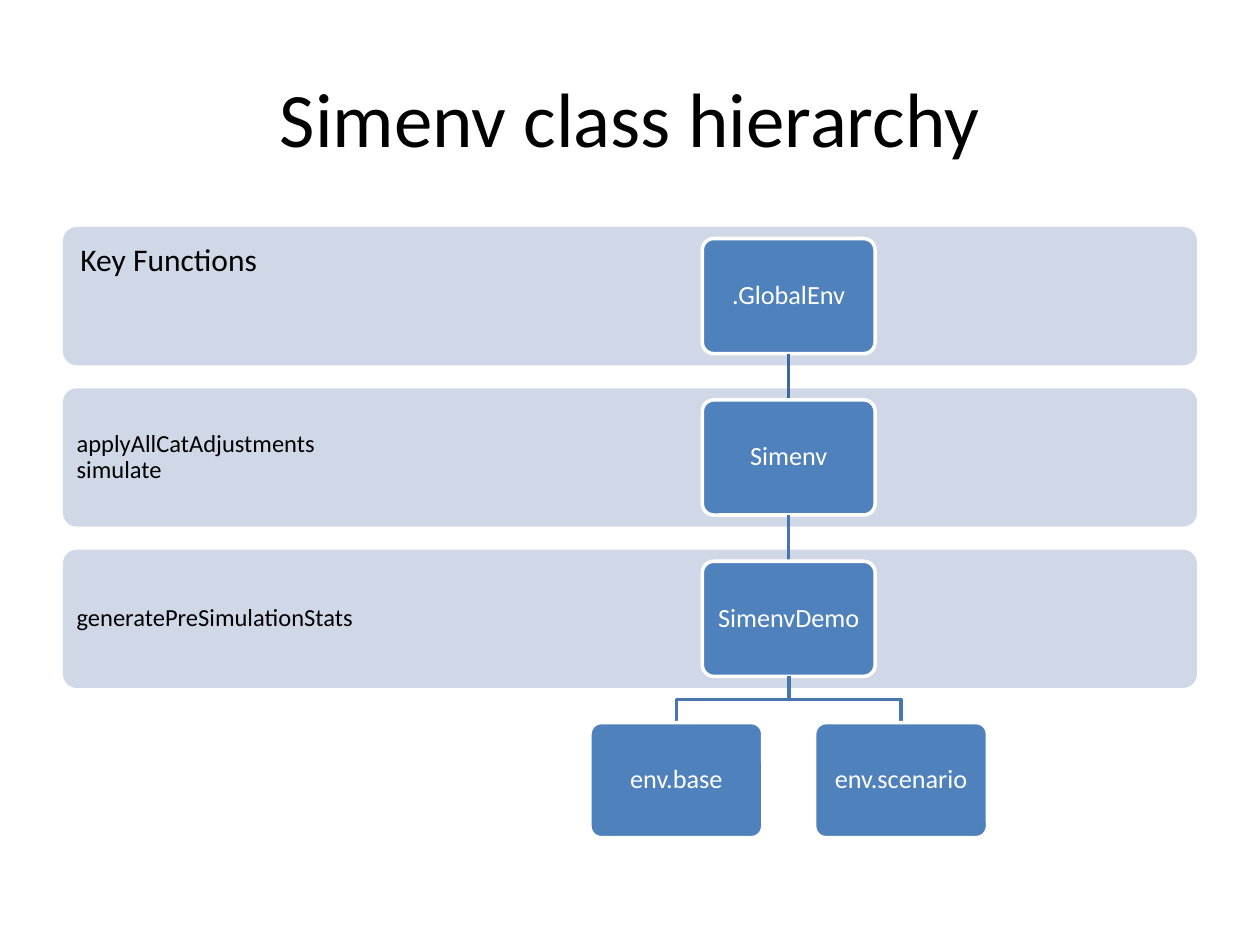
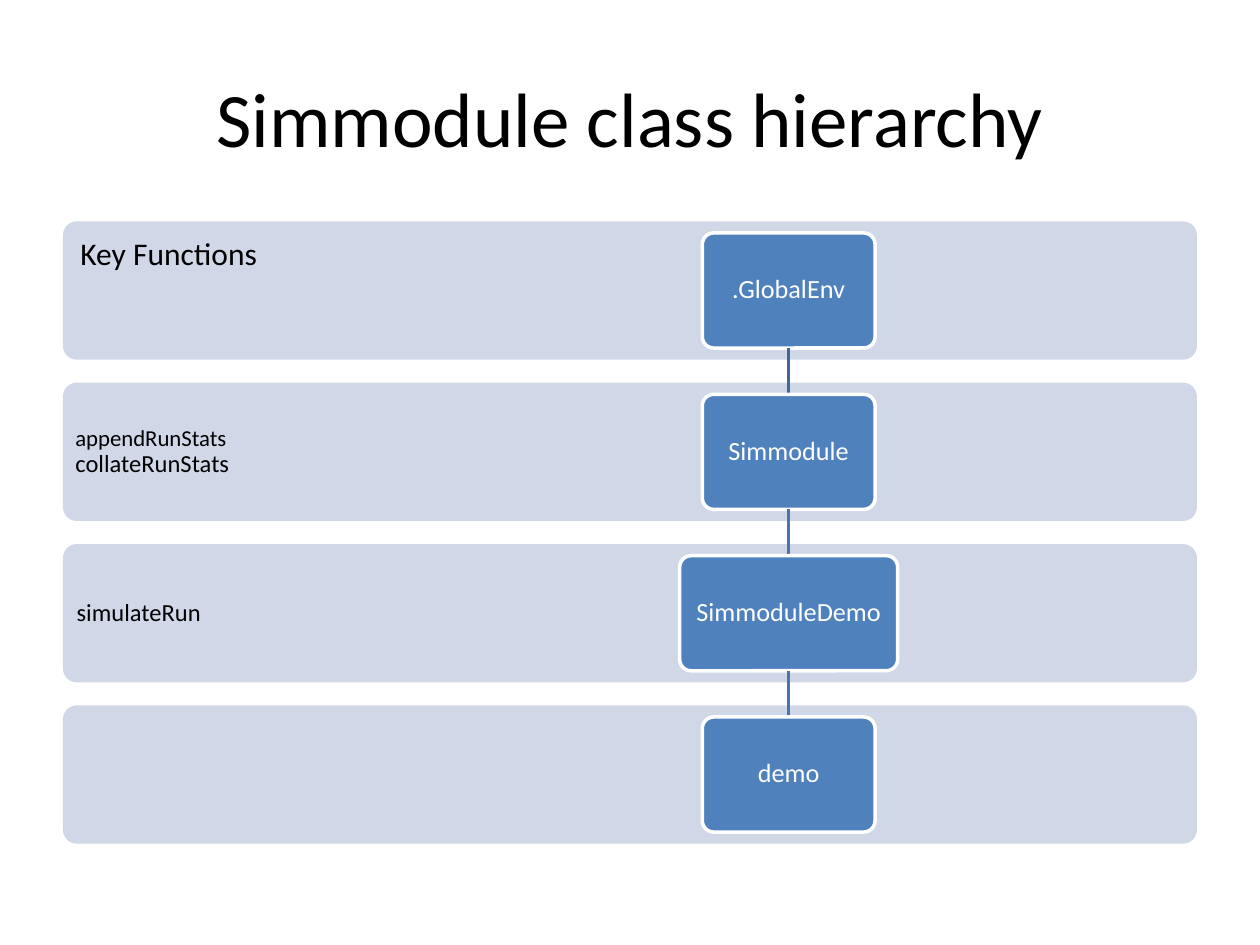
from dataclasses import dataclass
from typing import Any

from lxml.etree import SubElement
from pptx import Presentation
from pptx.dml.color import RGBColor
from pptx.enum.shapes import MSO_CONNECTOR, MSO_SHAPE
from pptx.enum.text import MSO_ANCHOR, PP_ALIGN
from pptx.oxml.ns import qn
from pptx.util import Pt

COLORS = {
    "text": "000000",
    "band": "D0D8E8",
    "node": "4F81BD",
    "white": "FFFFFF",
    "first_link": "3F6797",
    "link": "4875AC",
}
FONT = "Calibri"
BAND_LEFT, BAND_WIDTH, BAND_HEIGHT = 36, 648, 79
LABEL_WIDTH = 194.4
ROW_PITCH = 92.2
NODE_WIDTH, NODE_HEIGHT, NODE_OFFSET = 98.8, 65.8, 6.6
TREE_CENTER = 450.7
LEAF_SPREAD = 64.2

TITLE_FORMAT = {"left": Pt(36), "top": Pt(21.6), "width": Pt(648), "height": Pt(90)}
LABEL_FORMAT = {"word_wrap": True, "vertical_anchor": MSO_ANCHOR.MIDDLE}
HEADING_FORMAT = {"word_wrap": True, "vertical_anchor": MSO_ANCHOR.TOP}


@dataclass(frozen=True)
class Line:
    text: str
    size: float = 14


@dataclass(frozen=True)
class Band:
    lines: tuple[Line, ...] = ()
    inset: float = 7.8
    heading: bool = False


@dataclass(frozen=True)
class Node:
    name: str
    row: int
    shift: float = 0
    width: float = NODE_WIDTH

    @property
    def center(self) -> float:
        return TREE_CENTER + self.shift


@dataclass(frozen=True)
class Hierarchy:
    title: str
    top: float
    bands: tuple[Band, ...]
    trunk: tuple[Node, ...]
    leaves: tuple[Node, ...] = ()


HEADING = Band((Line("Key Functions", 18),), 10, True)

HIERARCHIES = (
    Hierarchy(
        "Simenv class hierarchy",
        129.7,
        (
            HEADING,
            Band((Line("applyAllCatAdjustments"), Line("simulate"))),
            Band((Line("generatePreSimulationStats"),)),
        ),
        (Node(".GlobalEnv", 0), Node("Simenv", 1), Node("SimenvDemo", 2)),
        (Node("env.base", 3, -LEAF_SPREAD), Node("env.scenario", 3, LEAF_SPREAD)),
    ),
    Hierarchy(
        "Simmodule class hierarchy",
        126.5,
        (
            HEADING,
            Band((Line("appendRunStats", 13), Line("collateRunStats")), 7.2),
            Band((Line("simulateRun"),)),
            Band(),
        ),
        (
            Node(".GlobalEnv", 0),
            Node("Simmodule", 1),
            Node("SimmoduleDemo", 2, width=124.6),
            Node("demo", 3),
        ),
    ),
)


def color(name: str) -> RGBColor:
    return RGBColor.from_string(COLORS[name])


def apply_format(target: Any, values: dict[str, Any]) -> None:
    for name, value in values.items():
        setattr(target, name, value)


def set_insets(frame: Any, inset: float) -> None:
    sides = ("left", "top", "right", "bottom")
    apply_format(frame, {f"margin_{side}": Pt(inset) for side in sides})


def write_lines(frame: Any, lines: tuple[Line, ...], color_name: str,
                alignment: PP_ALIGN, spacing: float = 0.9) -> None:
    paragraph = frame.paragraphs[0]
    apply_format(paragraph, {"alignment": alignment, "line_spacing": spacing})
    for index, line in enumerate(lines):
        if index:
            paragraph.add_line_break()
        run = paragraph.add_run()
        run.text = line.text
        apply_format(run.font, {"name": FONT, "size": Pt(line.size)})
        run.font.color.rgb = color(color_name)


def add_box(slide: Any, left: float, top: float, width: float, height: float,
            fill: str) -> Any:
    shape = slide.shapes.add_shape(
        MSO_SHAPE.ROUNDED_RECTANGLE, Pt(left), Pt(top), Pt(width), Pt(height))
    shape.adjustments[0] = 0.1
    shape.shadow.inherit = False
    shape.fill.solid()
    shape.fill.fore_color.rgb = color(fill)
    shape.line.fill.background()
    return shape


def add_band(slide: Any, band: Band, top: float) -> None:
    add_box(slide, BAND_LEFT, top, BAND_WIDTH, BAND_HEIGHT, "band")
    if not band.lines:
        return
    label = slide.shapes.add_textbox(
        Pt(BAND_LEFT), Pt(top), Pt(LABEL_WIDTH), Pt(BAND_HEIGHT))
    frame = label.text_frame
    apply_format(frame, HEADING_FORMAT if band.heading else LABEL_FORMAT)
    set_insets(frame, band.inset)
    write_lines(frame, band.lines, "text", PP_ALIGN.LEFT)


def node_top(hierarchy: Hierarchy, node: Node) -> float:
    return hierarchy.top + node.row * ROW_PITCH + NODE_OFFSET


def add_node(slide: Any, hierarchy: Hierarchy, node: Node) -> None:
    shape = add_box(slide, node.center - node.width / 2, node_top(hierarchy, node),
                    node.width, NODE_HEIGHT, "node")
    shape.line.color.rgb = color("white")
    shape.line.width = Pt(2)
    apply_format(shape.text_frame, LABEL_FORMAT)
    set_insets(shape.text_frame, 6)
    write_lines(shape.text_frame, (Line(node.name, 15),), "white", PP_ALIGN.CENTER)


def add_link(slide: Any, hierarchy: Hierarchy, parent: Node, child: Node) -> None:
    start = node_top(hierarchy, parent) + NODE_HEIGHT
    end = node_top(hierarchy, child)
    if parent.center == child.center:
        link = slide.shapes.add_connector(
            MSO_CONNECTOR.STRAIGHT, Pt(parent.center), Pt(start), Pt(child.center), Pt(end))
    else:
        middle = (start + end) / 2
        builder = slide.shapes.build_freeform(Pt(parent.center), Pt(start))
        corners = ((parent.center, middle), (child.center, middle), (child.center, end))
        builder.add_line_segments([(Pt(x), Pt(y)) for x, y in corners], close=False)
        link = builder.convert_to_shape()
        link.fill.background()
    link.line.color.rgb = color("link" if parent.row else "first_link")
    link.line.width = Pt(2)
    SubElement(link._element.spPr, qn("a:effectLst"))


def add_hierarchy(presentation: Any, hierarchy: Hierarchy) -> None:
    slide = presentation.slides.add_slide(presentation.slide_layouts[5])
    title = slide.shapes.title
    apply_format(title, TITLE_FORMAT)
    apply_format(title.text_frame, LABEL_FORMAT)
    write_lines(title.text_frame, (Line(hierarchy.title, 44),), "text",
                PP_ALIGN.CENTER, 1.0)
    for row, band in enumerate(hierarchy.bands):
        add_band(slide, band, hierarchy.top + row * ROW_PITCH)
    add_node(slide, hierarchy, hierarchy.trunk[0])
    links = list(zip(hierarchy.trunk, hierarchy.trunk[1:]))
    links += [(hierarchy.trunk[-1], leaf) for leaf in hierarchy.leaves]
    for parent, child in links:
        add_link(slide, hierarchy, parent, child)
        add_node(slide, hierarchy, child)


def main() -> None:
    presentation = Presentation()
    apply_format(presentation, {"slide_width": Pt(720), "slide_height": Pt(540)})
    for hierarchy in HIERARCHIES:
        add_hierarchy(presentation, hierarchy)
    presentation.save("out.pptx")


if __name__ == "__main__":
    main()
